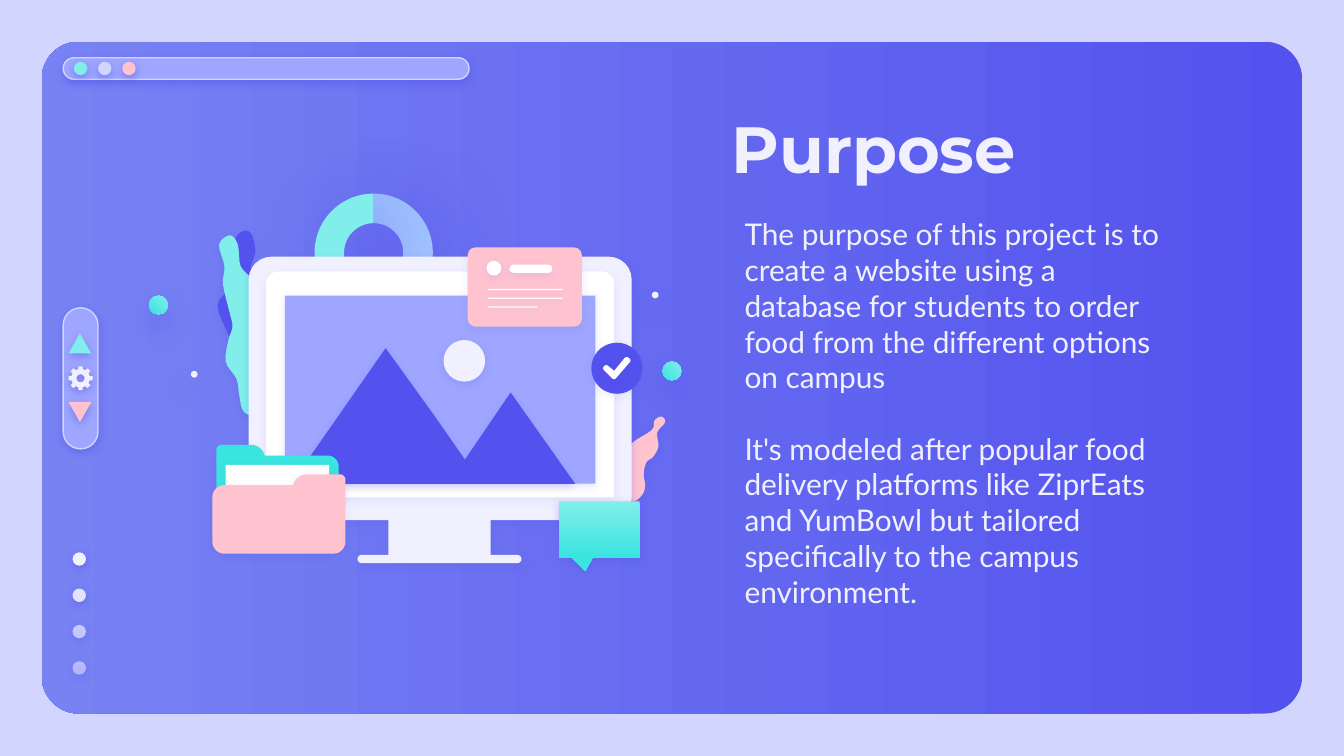
import math
from lxml import etree
from pptx import Presentation, util as u
from pptx.dml.color import RGBColor
from pptx.enum import shapes, text
from pptx.oxml.ns import qn

S = shapes.MSO_SHAPE
BLUE, LILAC, PALE, MIST = "5352EE", "9EA6FF", "D2D6FF", "F1F0FF"
MINT, TEAL, PINK, WHITE = "81EEEB", "3AE4DF", "FFC3D0", "FFFFFF"
GLOW = (38, 12.4, 6.8, 90)


def ink(hue):
    """Turn a hex string into a colour."""
    return RGBColor.from_string(hue)


def shade(shp, alpha, blur=4.5, dist=1.5, ang=90):
    """Give a shape a soft blue shadow."""
    shp.shadow.inherit = False
    root = shp._element.spPr.find(qn("a:effectLst"))
    cast = etree.SubElement(root, qn("a:outerShdw"), blurRad=str(u.Pt(blur)),
                            dist=str(u.Pt(dist)), dir=str(ang * 60000),
                            algn="bl", rotWithShape="0")
    tone = etree.SubElement(cast, qn("a:srgbClr"), val=BLUE)
    etree.SubElement(tone, qn("a:alpha"), val=str(alpha * 1000))


def style(shp, fill, glow=(50,), edge=None, alpha=None, turn=0, ang=90):
    """Set fill (one hex, or two for a gradient), edge, shadow and rotation."""
    if isinstance(fill, tuple):
        shp.fill.gradient()
        shp.fill.gradient_angle = (360 - ang) % 360
        for stop, hue in zip(shp.fill.gradient_stops, fill):
            stop.color.rgb = ink(hue)
    else:
        shp.fill.solid()
        shp.fill.fore_color.rgb = ink(fill)
    if alpha:
        tone = shp._element.spPr.find(qn("a:solidFill"))[0]
        etree.SubElement(tone, qn("a:alpha"), val=str(alpha * 1000))
    if edge:
        shp.line.color.rgb = ink(edge)
        shp.line.width = u.Pt(0.75)
    else:
        shp.line.fill.background()
    shp.rotation = turn
    if glow:
        shade(shp, *glow)
    else:
        shp.shadow.inherit = False


def add(page, kind, box, fill, adj=(), **look):
    """Place a preset shape."""
    shp = page.shapes.add_shape(kind, *map(u.Inches, box))
    for i, val in enumerate(adj):
        shp.adjustments[i] = val
    style(shp, fill, **look)


def trace(page, loops, fill, **look):
    """Draw closed loops of points as one outline."""
    pen = None
    for loop in loops:
        pts = [(x * 1000, y * 1000) for x, y in loop]
        if pen is None:
            pen = page.shapes.build_freeform(*pts[0], scale=914.4)
        else:
            pen.move_to(*pts[0])
        pen.add_line_segments(pts[1:], close=True)
    style(pen.convert_to_shape(), fill, **look)


def bend(a, b, c, d, steps=6):
    """Sample a cubic curve, leaving out its last point."""
    for i in range(steps):
        t = i / steps
        w = ((1 - t) ** 3, 3 * t * (1 - t) ** 2, 3 * t * t * (1 - t), t ** 3)
        yield tuple(sum(k * p[j] for k, p in zip(w, (a, b, c, d)))
                    for j in (0, 1))


def near(p, q, part):
    """Find the point a given part of the way from p to q."""
    return tuple(p[j] + (q[j] - p[j]) * part for j in (0, 1))


def soft(x, y, pts):
    """Shift corners (x, y[, radius]) and round those that have a radius."""
    out = []
    spots = [(x + p[0], y + p[1]) for p in pts]
    for i, p in enumerate(pts):
        mid = spots[i]
        if len(p) == 2:
            out.append(mid)
            continue
        a, d = (near(mid, q, p[2] / math.dist(mid, q))
                for q in (spots[i - 1], spots[(i + 1) % len(pts)]))
        out += [*bend(a, near(a, mid, 0.55), near(d, mid, 0.55), d), d]
    return out


def wavy(x, y, pts):
    """Shift points and join them with a smooth closed curve."""
    out, n = [], len(pts)
    spots = [(x + p, y + q) for p, q in pts]
    for i in range(n):
        o, a, d, e = (spots[(i + k) % n] for k in (-1, 0, 1, 2))
        b = tuple(a[j] + (d[j] - o[j]) / 6 for j in (0, 1))
        c = tuple(d[j] - (e[j] - a[j]) / 6 for j in (0, 1))
        out += bend(a, b, c, d, 4)
    return out


def write(page, shp, box, words, size, font, bold=False, align="LEFT", gap=0):
    """Bring a placeholder to the front and fill it with formatted text."""
    page.shapes._spTree.append(shp._element)
    shp.left, shp.top, shp.width, shp.height = map(u.Inches, box)
    frame = shp.text_frame
    frame.word_wrap, frame.auto_size = True, text.MSO_AUTO_SIZE.NONE
    frame.vertical_anchor = text.MSO_ANCHOR.MIDDLE
    for side in ("left", "right", "top", "bottom"):
        setattr(frame, "margin_" + side, u.Inches(0.1))
    for i, line in enumerate(words):
        para = frame.add_paragraph() if i else frame.paragraphs[0]
        para.alignment = getattr(text.PP_ALIGN, align)
        para.space_before, para.line_spacing = u.Pt(gap if i else 0), 1.0
        run = para.add_run()
        run.text = line
        run.font.size, run.font.name, run.font.bold = u.Pt(size), font, bold
        run.font.color.rgb = ink(MIST)


def frame(page, x, y, w, h):
    """Draw the window panel with its bar and page dots."""
    add(page, S.ROUNDED_RECTANGLE, (x, y, w, h), (BLUE, "7882F3"), [0.056],
        glow=None, ang=180)
    add(page, S.ROUNDED_RECTANGLE, (x + 0.16, y + 0.12, 3.02, 0.16), LILAC,
        [0.5], edge=PALE)
    for i, hue in enumerate((MINT, PALE, PINK)):
        add(page, S.OVAL, (x + 0.24 + 0.18 * i, y + 0.15, 0.1, 0.1), hue)
    for i, alpha in enumerate((None, 90, 67, 54)):
        add(page, S.OVAL, (x + 0.23, y + 3.8 + 0.27 * i, 0.1, 0.1), MIST,
            alpha=alpha)


def tools(page, x, y, w, h):
    """Draw the upright pill with two arrows and a gear."""
    add(page, S.ROUNDED_RECTANGLE, (x, y, w, h), LILAC, [0.5], edge=PALE)
    add(page, S.ISOSCELES_TRIANGLE, (x + 0.04, y + 0.19, 0.17, 0.15), MINT)
    add(page, S.ISOSCELES_TRIANGLE, (x + 0.04, y + 0.7, 0.17, 0.15), PINK,
        turn=180)

    def ring(spots):
        return [(x + w / 2 + r * math.cos(math.radians(a)),
                 y + h / 2 + r * math.sin(math.radians(a))) for r, a in spots]

    teeth = [(r, 45 * i + a) for i in range(8)
             for r, a in ((0.07, -13), (0.09, -10), (0.09, 10), (0.07, 13))]
    hole = [(0.03, -15 * i) for i in range(24)]
    trace(page, [ring(teeth), ring(hole)], MIST, glow=(52,))


def leaves(page, x, y):
    """Draw the three plants behind the screen."""
    pink = [(3.92, 2.1), (3.95, 2.14), (3.89, 2.22), (3.9, 2.32), (3.86, 2.4),
            (3.81, 2.44), (3.79, 2.53), (3.8, 2.61), (3.78, 2.68),
            (3.7, 2.73), (3.55, 2.63), (3.61, 2.44), (3.66, 2.4), (3.7, 2.3),
            (3.85, 2.2), (3.87, 2.13)]
    dark = [(0.81, 0.72), (0.87, 0.74), (0.9, 0.87), (0.87, 0.99),
            (0.94, 1.12), (1.01, 1.31), (0.97, 1.39), (1.02, 1.53),
            (1.09, 1.65), (1.05, 1.79), (1.01, 1.92), (1.01, 1.99),
            (0.95, 2.03), (0.79, 1.94), (0.79, 1.7), (0.71, 1.51),
            (0.62, 1.28), (0.7, 1.15), (0.77, 1), (0.75, 0.79)]
    mint = [(0.71, 0.75), (0.77, 0.82), (0.79, 0.98), (0.87, 1.08),
            (0.91, 1.27), (0.96, 1.45), (1.04, 1.63), (0.98, 1.85),
            (1.02, 2.02), (0.96, 2.1), (0.82, 2.07), (0.78, 1.94),
            (0.76, 1.82), (0.68, 1.69), (0.7, 1.53), (0.73, 1.43),
            (0.71, 1.33), (0.66, 1.12), (0.67, 0.98), (0.63, 0.82)]
    for pts, hue, alpha in ((pink, PINK, 22), (dark, BLUE, 18),
                            (mint, MINT, 18)):
        trace(page, [wavy(x, y, pts)], hue, glow=(alpha,))


def screen(page, x, y):
    """Draw the monitor, the landscape on it, its card and check badge."""
    body = [(0.85, 0.91, 0.17), (3.7, 0.91, 0.17), (3.7, 2.87, 0.17),
            (2.65, 2.87), (2.65, 3.13), (2.88, 3.13, 0.03), (2.88, 3.19, 0.03),
            (1.66, 3.19, 0.03), (1.66, 3.13, 0.03), (1.89, 3.13),
            (1.89, 2.87), (0.85, 2.87, 0.17)]
    trace(page, [soft(x, y, body)], MIST, glow=(22,))
    glass = [(0.98, 1.02, 0.09), (3.57, 1.02, 0.09), (3.57, 2.7), (0.98, 2.7)]
    trace(page, [soft(x, y, glass)], WHITE, glow=(9,))
    add(page, S.RECTANGLE, (x + 1.12, y + 1.2, 2.31, 1.4), LILAC, glow=(14,))
    add(page, S.ROUNDED_RECTANGLE, (x + 2.48, y + 0.84, 0.85, 0.59), PINK,
        [0.1], glow=(11,))
    add(page, S.OVAL, (x + 2.62, y + 0.94, 0.11, 0.11), WHITE, glow=(11,))
    add(page, S.ROUNDED_RECTANGLE, (x + 2.79, y + 0.97, 0.32, 0.06), WHITE,
        [0.5], glow=(11,))
    for i, wide in enumerate((0.56, 0.56, 0.37)):
        add(page, S.RECTANGLE, (x + 2.63, y + 1.15 + 0.065 * i, wide, 0.01),
            WHITE, glow=(11,))
    add(page, S.OVAL, (x + 3.4, y + 1.55, 0.38, 0.38), BLUE, glow=(10,))
    tick = [(3.57, 1.76), (3.66, 1.65, 0.02), (3.7, 1.68, 0.02),
            (3.57, 1.83, 0.02), (3.48, 1.74, 0.02), (3.51, 1.71, 0.02)]
    trace(page, [soft(x, y, tick)], WHITE, glow=(10,))
    peaks = [(1.87, 1.59), (1.25, 2.48), (1.25, 2.6), (3.28, 2.6),
             (2.8, 1.92), (2.46, 2.42), (2.23, 2.09)]
    trace(page, [soft(x, y, peaks)], BLUE, glow=(18,))
    add(page, S.OVAL, (x + 2.3, y + 1.53, 0.31, 0.31), MIST, glow=(18,))


def folder(page, x, y):
    """Draw the open folder with a sheet inside."""
    back = [(0.03, 0, 0.04), (0.36, 0, 0.07), (0.39, 0.08), (0.94, 0.08, 0.08),
            (0.94, 0.74, 0.08), (0.03, 0.74, 0.08)]
    front = [(0.62, 0.22, 0.08), (0.99, 0.22, 0.04), (0.99, 0.81, 0.09),
             (0, 0.81, 0.09), (0, 0.3, 0.09), (0.6, 0.3)]
    trace(page, [soft(x, y, back)], TEAL, glow=(10,))
    add(page, S.RECTANGLE, (x + 0.1, y + 0.15, 0.77, 0.64), WHITE, glow=(10,))
    trace(page, [soft(x, y, front)], PINK, glow=(10,))


def art(page, x, y):
    """Assemble the illustration from its parts."""
    for turn, hue in ((90, "A1C3FF"), (270, MINT)):
        add(page, S.BLOCK_ARC, (x + 1.34, y + 0.44, 0.88, 0.88), hue,
            [108, 0, 0.25], glow=(67, 38.2, 9, 49), turn=turn)
    leaves(page, x, y)
    for side in (((0.11, 1.2), (0.42, 1.76)), ((3.93, 1.69), (3.85, 1.17))):
        for (dx, dy), size, hue in zip(side, (0.14, 0.05),
                                       ((MINT, TEAL), MIST)):
            add(page, S.OVAL, (x + dx, y + dy, size, size), hue, glow=GLOW,
                ang=135)
    screen(page, x, y)
    folder(page, x + 0.58, y + 2.31)
    add(page, S.ROUNDED_RECTANGULAR_CALLOUT, (x + 3.16, y + 2.73, 0.6, 0.42),
        (MINT, TEAL), [-0.174, 0.731, 0], glow=(31,))


def main():
    """Build and save the slide."""
    deck = Presentation()
    deck.slide_width, deck.slide_height = u.Inches(10), u.Inches(10 * 9 / 16)
    page = deck.slides.add_slide(deck.slide_layouts[0])
    page.background.fill.solid()
    page.background.fill.fore_color.rgb = ink(PALE)
    head, body = page.placeholders
    frame(page, 0.31, 0.31, 9.38, 5)
    write(page, head, (5.22, 0.48, 2.44, 1.24), ["Purpose"], 35, "Montserrat",
          bold=True, align="RIGHT")
    write(page, body, (5.44, 1.88, 3.38, 2.38), [
        "The purpose of this project is to create a website using a database "
        "for students to order food from the different options on campus",
        "It's modeled after popular food delivery platforms like ZiprEats and "
        "YumBowl but tailored specifically to the campus environment."],
        16, "Lato", gap=19)
    tools(page, 0.47, 2.29, 0.26, 1.05)
    art(page, 1, 1)
    deck.save("out.pptx")


if __name__ == "__main__":
    main()
